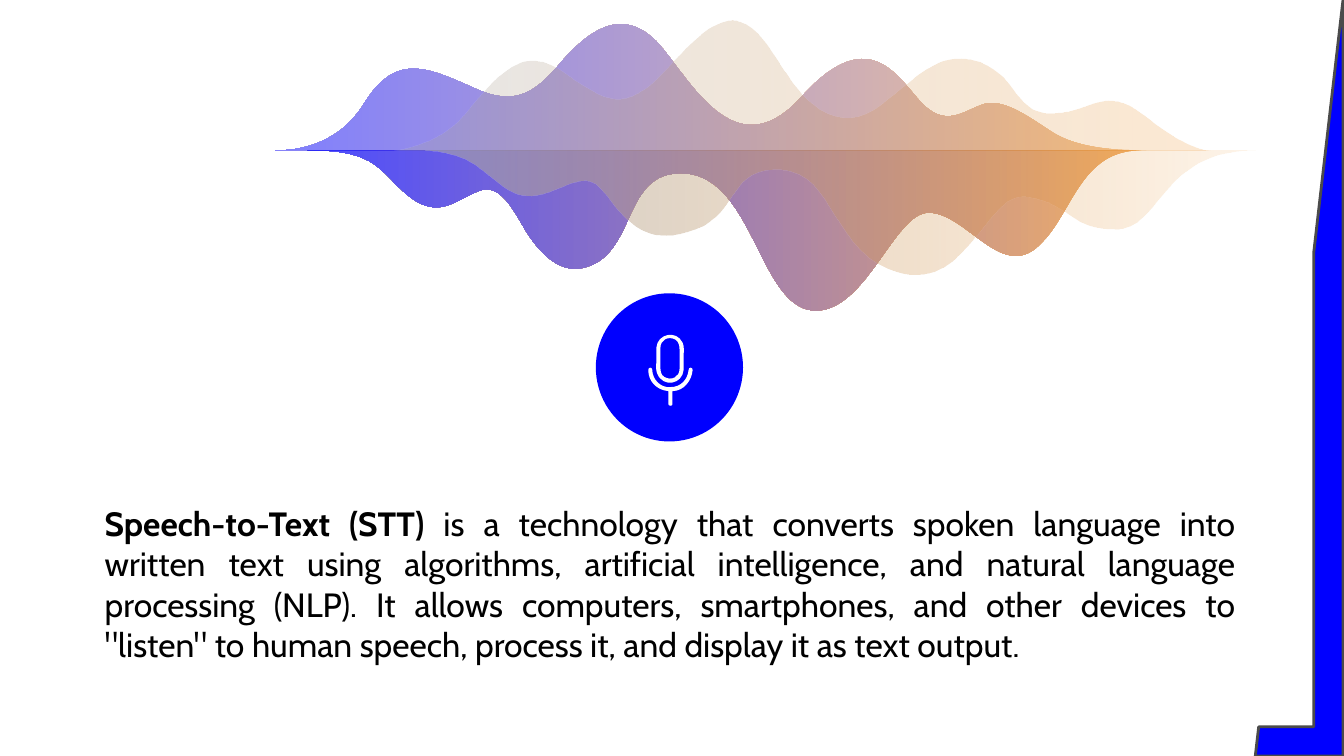
import lxml.etree
import pptx
import pptx.dml.color
import pptx.enum.shapes
import pptx.enum.text
import pptx.oxml.ns
import pptx.util

BLUE = pptx.dml.color.RGBColor(0x00, 0x00, 0xFF)
ORANGE = pptx.dml.color.RGBColor(0xEF, 0x8F, 0x21)
GREY = pptx.dml.color.RGBColor(0xAB, 0xAB, 0xAB)
EDGE = pptx.dml.color.RGBColor(0x4B, 0x4B, 0x4B)
WHITE = pptx.dml.color.RGBColor(0xFF, 0xFF, 0xFF)
BLACK = pptx.dml.color.RGBColor(0x00, 0x00, 0x00)

WAVE_COLUMNS = 972
WAVE_CREST = 141

WAVES = [
    (((ORANGE, 50), (BLUE, 50)), [
        (0, 0), (0, 0), (57, 5), (88, -46), (119, -96), (149, -83), (194, -63),
        (240, -41), (259, -58), (286, -90), (314, -121), (345, -141), (378, -108),
        (410, -74), (455, 23), (523, -54), (592, -130), (620, -67), (643, -45),
        (667, -22), (684, -40), (704, -46), (724, -51), (750, -31), (772, -17),
        (795, -3), (829, 0), (856, 0)]),
    (((ORANGE, 70), (BLUE, 70)), [
        (864, 0), (847, 0), (832, 2), (817, 14), (792, 34), (782, 70), (760, 92),
        (722, 133), (687, 63), (649, 62), (614, 60), (586, 163), (533, 159),
        (480, 154), (474, 27), (406, 23), (342, 19), (360, 106), (304, 117),
        (280, 122), (259, 99), (245, 74), (235, 57), (222, 33), (203, 40),
        (176, 50), (160, 73), (124, 38), (101, 16), (95, 0), (32, 0)]),
    (((ORANGE, 20), (GREY, 30)), [
        (116, 0), (116, 0), (161, -4), (187, -35), (220, -74), (245, -108), (288, -76),
        (335, -43), (351, -38), (397, -90), (443, -141), (462, -132), (479, -115),
        (503, -90), (518, -40), (562, -33), (605, -25), (636, -101), (690, -90),
        (741, -79), (728, -30), (781, -38), (816, -43), (826, -65), (867, -31),
        (909, 2), (932, 0), (932, 0)]),
    (((ORANGE, 10), (GREY, 60)), [
        (144, 0), (144, 0), (173, -2), (198, 14), (223, 30), (236, 55), (272, 41),
        (309, 26), (314, 24), (333, 50), (352, 75), (373, 95), (417, 78),
        (461, 61), (448, 16), (502, 19), (556, 23), (551, 103), (620, 121),
        (688, 139), (704, 37), (747, 46), (791, 54), (785, 77), (832, 78),
        (879, 79), (874, 1), (972, 0)]),
]

BUTTON_COLUMNS = 146
MICROPHONE_CENTER = (74, 73)
HEAD_OUTSIDE = [
    (-13, 7), (-7, 21), (12, 17), (13, 3), (13, 2), (13, 2), (13, 2),
    (13, -2), (13, -6), (13, -10), (13, -14), (14, -20), (12, -24),
    (6, -37), (-13, -33), (-14, -19), (-14, -14), (-14, -10), (-14, -6),
    (-14, -2), (-15, 3), (-13, 7)]
HEAD_INSIDE = [
    (-10, -19), (-10, -27), (-2, -31), (5, -27), (9, -24), (9, -20), (9, -16),
    (9, -10), (9, -4), (9, 2), (9, 10), (1, 14), (-6, 10),
    (-10, 8), (-10, 3), (-10, -1), (-10, -7), (-10, -13), (-10, -19)]
CRADLE = [
    (22, 3), (22, 0), (18, 0), (18, 3), (17, 13), (10, 20), (0, 20),
    (-10, 21), (-18, 12), (-18, 3), (-18, 0), (-22, 0), (-22, 3),
    (-22, 14), (-14, 23), (-2, 24), (-2, 28), (-2, 32), (-2, 37),
    (-2, 39), (2, 39), (2, 37), (2, 32), (2, 28), (2, 24),
    (13, 24), (21, 14), (22, 3)]


def bend_segments(shape):
    segments = list(shape.element.spPr.iter(pptx.oxml.ns.qn("a:lnTo")))
    for first in range(0, len(segments), 3):
        curve = lxml.etree.Element(pptx.oxml.ns.qn("a:cubicBezTo"))
        segments[first].addprevious(curve)
        for segment in segments[first:first + 3]:
            curve.append(segment[0])
            segment.getparent().remove(segment)


def add_outline(shapes, contours, origin, unit):
    placed = [[(round(origin[0] + x * unit), round(origin[1] + y * unit))
               for x, y in points] for points in contours]
    builder = shapes.build_freeform(*placed[0][0], scale=1.0)
    builder.add_line_segments(placed[0][1:], close=True)
    for contour in placed[1:]:
        builder.move_to(*contour[0])
        builder.add_line_segments(contour[1:], close=True)
    shape = builder.convert_to_shape()
    bend_segments(shape)
    shape.shadow.inherit = False
    shape.line.fill.background()
    return shape


def fill_solid(shape, color):
    shape.fill.solid()
    shape.fill.fore_color.rgb = color


def fill_gradient(shape, stops):
    shape.fill.gradient()
    shape.fill.gradient_angle = 180
    for stop, (color, _) in zip(shape.fill.gradient_stops, stops):
        stop.color.rgb = color
    colors = shape.element.spPr.iter(pptx.oxml.ns.qn("a:srgbClr"))
    for color_element, (_, opacity) in zip(colors, stops):
        alpha = lxml.etree.SubElement(color_element, pptx.oxml.ns.qn("a:alpha"))
        alpha.set("val", str(opacity * 1000))


def add_microphone_button(slide, left, top, width, height):
    shapes = slide.shapes.add_group_shape().shapes
    circle = shapes.add_shape(pptx.enum.shapes.MSO_SHAPE.OVAL, left, top, width, height)
    circle.shadow.inherit = False
    circle.line.fill.background()
    fill_solid(circle, BLUE)
    unit = width / BUTTON_COLUMNS
    center = (left + MICROPHONE_CENTER[0] * unit, top + MICROPHONE_CENTER[1] * unit)
    for contours in ([HEAD_OUTSIDE, HEAD_INSIDE], [CRADLE]):
        fill_solid(add_outline(shapes, contours, center, unit), WHITE)


def add_sound_wave(slide, left, top, width):
    shapes = slide.shapes.add_group_shape().shapes
    unit = width / WAVE_COLUMNS
    for stops, points in WAVES:
        wave = add_outline(shapes, [points], (left, top + WAVE_CREST * unit), unit)
        fill_gradient(wave, stops)


def add_definition(slide, left, top, width, height):
    frame = slide.shapes.add_textbox(left, top, width, height).text_frame
    frame.word_wrap = True
    frame.auto_size = pptx.enum.text.MSO_AUTO_SIZE.SHAPE_TO_FIT_TEXT
    frame.vertical_anchor = pptx.enum.text.MSO_ANCHOR.MIDDLE
    paragraph = frame.paragraphs[0]
    paragraph.alignment = pptx.enum.text.PP_ALIGN.JUSTIFY
    paragraph.font.name = "Cabin"
    paragraph.font.size = pptx.util.Pt(24)
    paragraph.font.color.rgb = BLACK
    term = paragraph.add_run()
    term.text = "Speech-to-Text (STT)"
    term.font.bold = True
    paragraph.add_run().text = (
        " is a technology that converts spoken language into written text using "
        "algorithms, artificial intelligence, and natural language processing (NLP). "
        "It allows computers, smartphones, and other devices to \"listen\" to human "
        "speech, process it, and display it as text output.")


def add_corner_frame(slide, left, top, width, height):
    corner = slide.shapes.add_shape(
        pptx.enum.shapes.MSO_SHAPE.HALF_FRAME, left, top, width, height)
    corner.rotation = 180
    corner.shadow.inherit = False
    fill_solid(corner, BLUE)
    corner.line.color.rgb = EDGE
    corner.line.width = pptx.util.Pt(2)


def main():
    inches = pptx.util.Inches
    presentation = pptx.Presentation()
    presentation.slide_width = inches(13.33)
    presentation.slide_height = inches(7.5)
    slide = presentation.slides.add_slide(presentation.slide_layouts[6])
    add_microphone_button(slide, inches(5.91), inches(2.91), inches(1.46), inches(1.47))
    add_sound_wave(slide, inches(2.73), inches(0.08), inches(9.72))
    add_definition(slide, inches(0.94), inches(4.93), inches(11.41), inches(1.72))
    add_corner_frame(slide, inches(12.45), 0, inches(0.87), presentation.slide_height)
    presentation.save("out.pptx")


if __name__ == "__main__":
    main()
